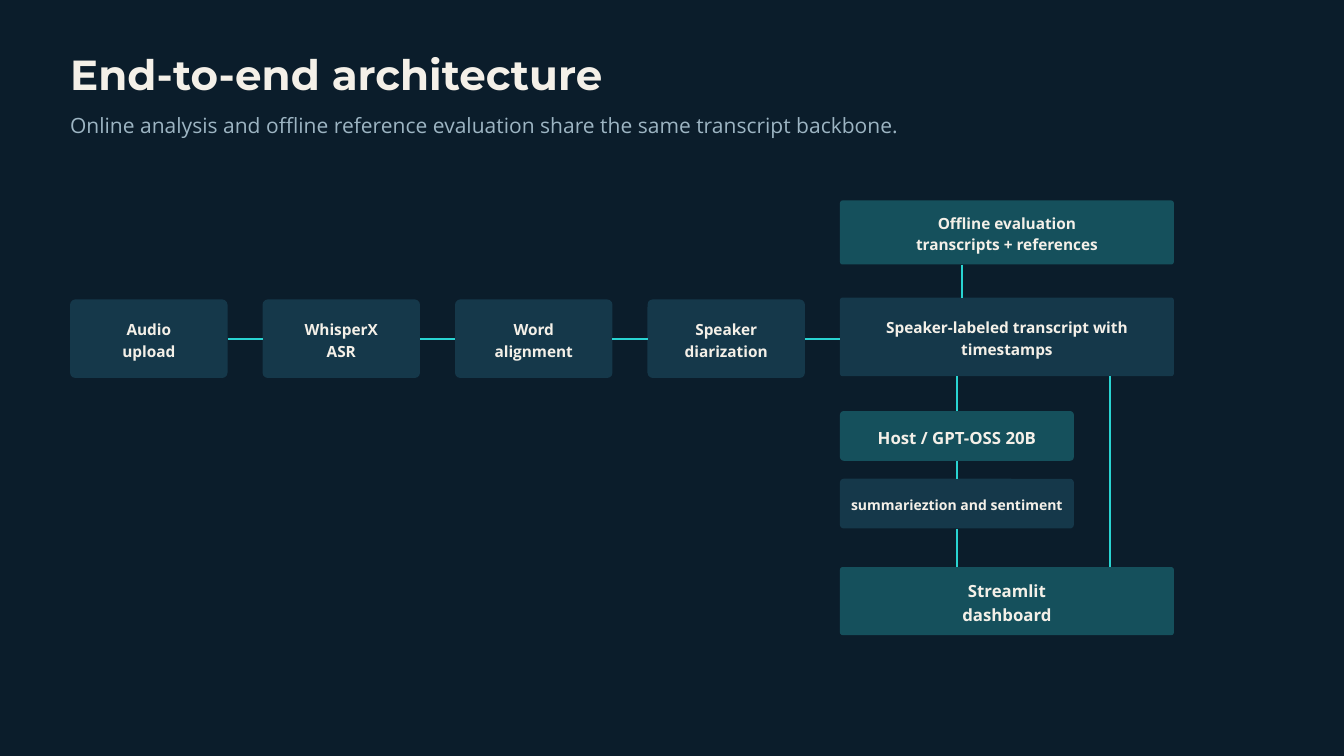
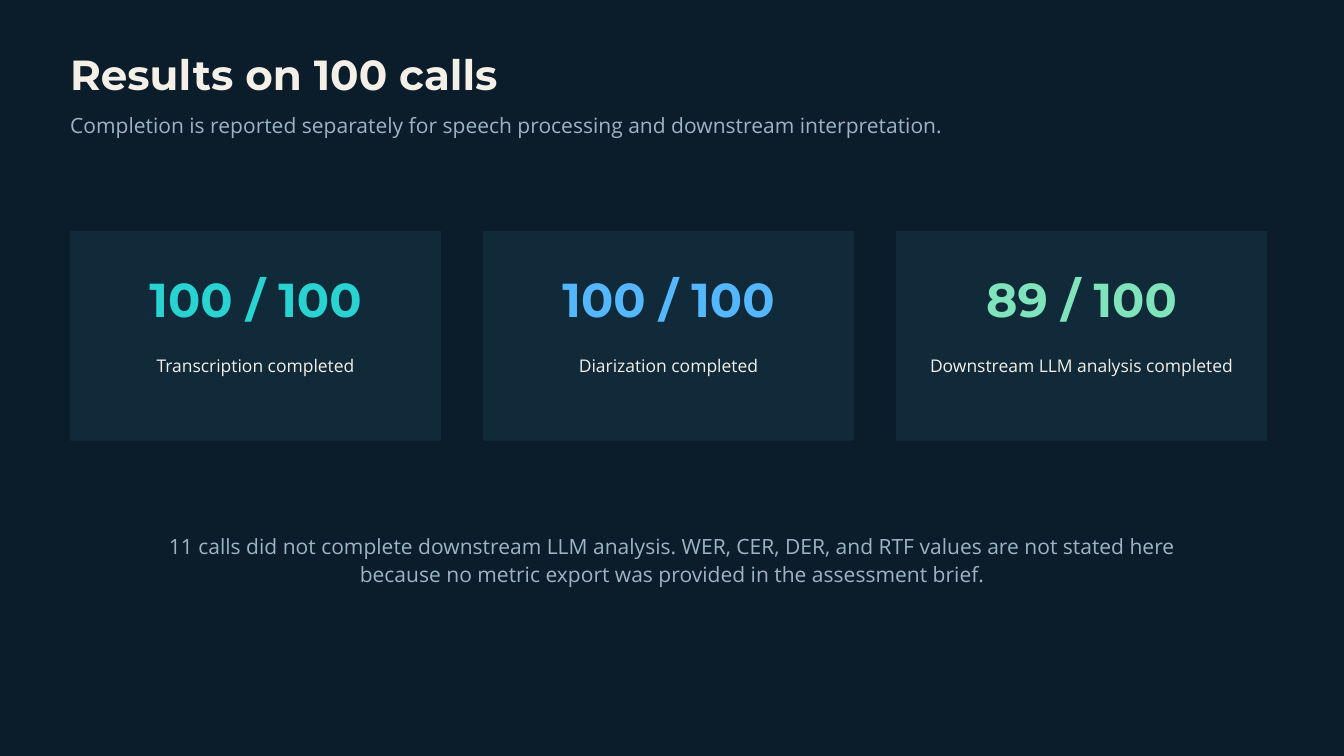
import pptx
import pptx.dml.color
import pptx.enum.shapes
import pptx.enum.text
import pptx.oxml.ns
import pptx.util
from lxml import etree
from pptx.util import Cm, Pt

WIDTH, HEIGHT = 50.8, 28.58
MARGIN = 2.65
HEADING_FONT, BODY_FONT = "Montserrat", "Open Sans"
BACKGROUND, CREAM, MUTED = "0B1D2B", "F4F0E8", "9DB5C3"
NAVY, TEAL, CARD = "15384A", "15505C", "102A3A"
CYAN, BLUE, GREEN = "29D3D1", "55B7FF", "7FE3BB"

SHAPES = pptx.enum.shapes.MSO_SHAPE
ALIGN = pptx.enum.text.PP_ALIGN
ANCHOR = pptx.enum.text.MSO_ANCHOR
TOP, LEFT, BOTTOM, RIGHT = range(4)


def rgb(value):
    return pptx.dml.color.RGBColor.from_string(value)


def write(shape, text, size, color, font=BODY_FONT, bold=False,
          align=ALIGN.CENTER, leading=1.4, inset=0, anchor=ANCHOR.TOP):
    """Fill a shape with text; leading is a multiple of the font size."""
    frame = shape.text_frame
    frame.word_wrap = True
    frame.vertical_anchor = anchor
    frame.margin_left = frame.margin_right = Cm(inset)
    frame.margin_top = frame.margin_bottom = Cm(inset)
    frame.text = text
    for paragraph in frame.paragraphs:
        paragraph.alignment = align
        paragraph.line_spacing = Pt(size * leading)
        for run in paragraph.runs:
            run.font.name = font
            run.font.size = Pt(size)
            run.font.bold = bold
            run.font.color.rgb = rgb(color)


def add_text(shapes, box, text, size, color, **style):
    write(shapes.add_textbox(*map(Cm, box)), text, size, color, **style)


def add_panel(shapes, box, fill, kind=SHAPES.RECTANGLE):
    shape = shapes.add_shape(kind, *map(Cm, box))
    shape.shadow.inherit = False
    shape.fill.solid()
    shape.fill.fore_color.rgb = rgb(fill)
    shape.line.fill.background()
    return shape


def add_node(slide, box, text, fill, size=16.5, radius=0.1):
    """Rounded flow-chart box with a centred bold label."""
    node = add_panel(slide.shapes, box, fill, SHAPES.ROUNDED_RECTANGLE)
    node.adjustments[0] = radius / min(box[2:])
    write(node, text, size, CREAM, bold=True, inset=0.15, anchor=ANCHOR.MIDDLE)
    return node


def add_link(slide, start, end):
    """Line between two ends, each an (x, y) point or a (node, side) joint."""
    def is_joint(place):
        return hasattr(place[0], "shape_id")

    points = [(0, 0) if is_joint(place) else place for place in (start, end)]
    link = slide.shapes.add_connector(
        pptx.enum.shapes.MSO_CONNECTOR.STRAIGHT, *points[0], *points[1])
    if is_joint(start):
        link.begin_connect(*start)
    if is_joint(end):
        link.end_connect(*end)
    link.line.color.rgb = rgb(CYAN)
    link.line.width = Pt(2.25)
    etree.SubElement(link._element.spPr, pptx.oxml.ns.qn("a:effectLst"))


def add_slide(presentation, title, subtitle):
    slide = presentation.slides.add_slide(presentation.slide_layouts[6])
    slide.background.fill.solid()
    slide.background.fill.fore_color.rgb = rgb(BACKGROUND)
    add_text(slide.shapes, (MARGIN, 2.01, 39.67, 1.73), title, 45, CREAM,
             font=HEADING_FONT, bold=True, align=ALIGN.LEFT, leading=1.08)
    add_text(slide.shapes, (MARGIN, 4.14, 38.35, 1.02), subtitle, 22.5, MUTED,
             align=ALIGN.LEFT, leading=1.35)
    return slide


def add_speech_steps(slide, left, top, width):
    """Row of linked steps; returns the last one."""
    labels = ["Audio\nupload", "WhisperX\nASR", "Word\nalignment", "Speaker\ndiarization"]
    pitch = width / len(labels)
    previous = None
    for index, label in enumerate(labels):
        step = add_node(slide, (left + index * pitch, top, 5.95, 2.97), label, NAVY,
                        radius=0.2)
        if previous:
            add_link(slide, (previous, RIGHT), (step, LEFT))
        previous = step
    return previous


def add_analysis_column(slide, left, top):
    """Stack of evaluation, transcript, language model and dashboard boxes."""
    wide, narrow = 12.62, 8.84
    evaluation = add_node(slide, (left, top, wide, 2.42),
                          "Offline evaluation\ntranscripts + references", TEAL)
    transcript = add_node(slide, (left, top + 3.67, wide, 2.97),
                          "Speaker-labeled transcript with timestamps", NAVY)
    model = add_node(slide, (left, top + 7.96, narrow, 1.88),
                     "Host / GPT-OSS 20B", TEAL, size=18, radius=0.14)
    summary = add_node(slide, (left, top + 10.52, narrow, 1.88),
                       "summarieztion and sentiment", NAVY, size=15, radius=0.14)
    dashboard = add_node(slide, (left, top + 13.86, wide, 2.57),
                         "Streamlit\ndashboard", TEAL, size=18)

    def bottom(node):
        return node.top + node.height

    center = Cm(left + narrow / 2)
    evaluation_x, bypass_x = Cm(left + 4.6), Cm(left + 10.19)
    add_link(slide, (evaluation_x, bottom(evaluation)), (evaluation_x, transcript.top))
    add_link(slide, (center, bottom(transcript)), (model, TOP))
    add_link(slide, (model, BOTTOM), (summary, TOP))
    add_link(slide, (summary, BOTTOM), (center, dashboard.top))
    add_link(slide, (bypass_x, bottom(transcript)), (bypass_x, dashboard.top))


def add_architecture(presentation):
    slide = add_slide(
        presentation, "End-to-end architecture",
        "Online analysis and offline reference evaluation share the same transcript backbone.")
    column_left = 31.75
    last_step = add_speech_steps(slide, MARGIN, 11.32, column_left - MARGIN)
    add_analysis_column(slide, column_left, 7.58)
    middle = last_step.top + last_step.height // 2
    add_link(slide, (last_step, RIGHT), (Cm(column_left), middle))


def add_result_card(slide, left, top, value, label, color):
    shapes = slide.shapes.add_group_shape().shapes
    add_panel(shapes, (left, top, 14.02, 7.92), CARD)
    add_text(shapes, (left + 0.93, top + 1.12, 12.16, 2.36), value, 51, color,
             font=HEADING_FONT, bold=True)
    add_text(shapes, (left + 1.2, top + 4.55, 11.62, 0.86), label, 18.75, CREAM)


def add_results(presentation):
    slide = add_slide(
        presentation, "Results on 100 calls",
        "Completion is reported separately for speech processing and downstream interpretation.")
    cards = [
        ("100 / 100", "Transcription completed", CYAN),
        ("100 / 100", "Diarization completed", BLUE),
        ("89 / 100", "Downstream LLM analysis completed", GREEN),
    ]
    for index, card in enumerate(cards):
        add_result_card(slide, MARGIN + index * 15.61, 8.74, *card)
    add_text(slide.shapes, (6.1, 20.04, 38.63, 2.08),
             "11 calls did not complete downstream LLM analysis. WER, CER, DER, and RTF values "
             "are not stated here because no metric export was provided in the assessment brief.",
             22.5, MUTED, leading=1.35)


def main():
    presentation = pptx.Presentation()
    presentation.slide_width, presentation.slide_height = Cm(WIDTH), Cm(HEIGHT)
    add_architecture(presentation)
    add_results(presentation)
    presentation.save("out.pptx")


if __name__ == "__main__":
    main()
